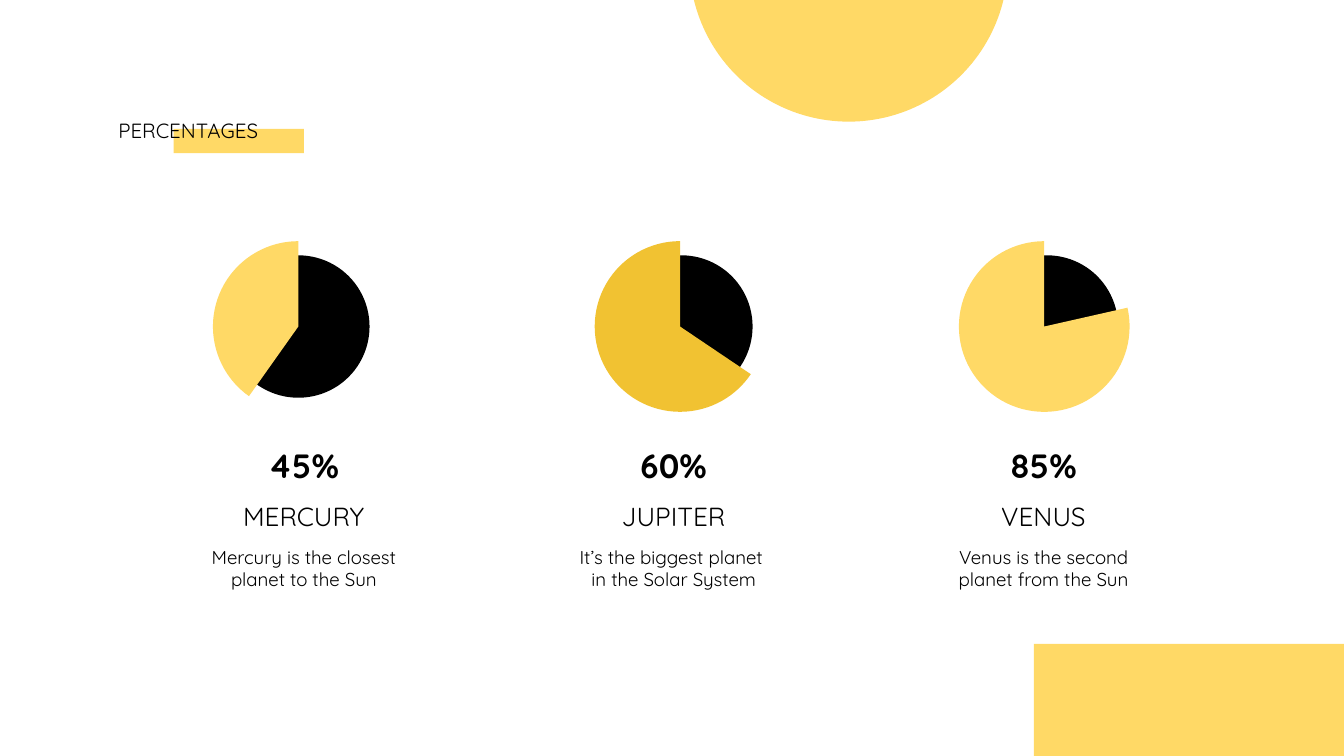
"""Build the planet percentages slide on a grid of 100 columns, with square cells."""
import pptx
import pptx.dml.color
import pptx.enum.shapes
import pptx.enum.text
import pptx.util

THEME = {
    "font": "Quicksand",
    "black": "000000",
    "yellow": "FFD966",
    "gold": "F1C232",
    "title": 11,
    "percent": 18,
    "name": 14,
    "text": 10,
}
SHAPES = pptx.enum.shapes.MSO_SHAPE
ALIGN = pptx.enum.text.PP_ALIGN
ANCHOR = pptx.enum.text.MSO_ANCHOR

presentation = pptx.Presentation()
presentation.slide_width = pptx.util.Inches(10)
presentation.slide_height = presentation.slide_width * 9 // 16
slide = presentation.slides.add_slide(presentation.slide_layouts[5])
cell = presentation.slide_width / 100


def add_figure(kind, left, top, width, height, color):
    """Add a plain filled shape placed in grid cells."""
    bounds = [round(value * cell) for value in (left, top, width, height)]
    shape = slide.shapes.add_shape(kind, *bounds)
    shape.shadow.inherit = False
    shape.fill.solid()
    shape.fill.fore_color.rgb = pptx.dml.color.RGBColor.from_string(THEME[color])
    shape.line.fill.background()
    return shape


def write_text(shape, bounds, lines, size, anchor, align, bold=False):
    """Place a text shape in grid cells and write its lines run by run."""
    shape.left, shape.top, shape.width, shape.height = [round(value * cell) for value in bounds]
    frame = shape.text_frame
    frame.word_wrap = True
    frame.auto_size = pptx.enum.text.MSO_AUTO_SIZE.NONE
    frame.vertical_anchor = anchor
    frame.margin_left = frame.margin_right = round(cell)
    frame.margin_top = frame.margin_bottom = round(cell)
    for index, line in enumerate(lines):
        paragraph = frame.add_paragraph() if index else frame.paragraphs[0]
        paragraph.alignment = align
        run = paragraph.add_run()
        run.text = line
        run.font.name = THEME["font"]
        run.font.size = pptx.util.Pt(THEME[size])
        run.font.bold = bold
        run.font.color.rgb = pptx.dml.color.RGBColor.from_string(THEME["black"])


add_figure(SHAPES.RECTANGLE, 76.92, 47.92, 23.08, 8.33, "yellow")
add_figure(SHAPES.OVAL, 51.3, -14.65, 23.7, 23.7, "yellow")
add_figure(SHAPES.RECTANGLE, 12.92, 9.6, 9.7, 1.8, "yellow")

title = slide.shapes.title
slide.shapes.element.append(title.element)
write_text(title, (7.8, 7.8, 84.7, 3.8), ["PERCENTAGES"], "title", ANCHOR.BOTTOM, ALIGN.LEFT)

planets = [
    ("45%", "MERCURY", ["Mercury is the closest planet to the Sun"], 22.2, 22.2, 125.3, "yellow"),
    ("60%", "JUPITER", ["It’s the biggest planet ", "in the Solar System"], 50.7, 50.6, 34, "gold"),
    ("85%", "VENUS", ["Venus is the second planet from the Sun"], 77.9, 77.7, 347.25, "yellow"),
]
first_column, column_step, column_width = 14.2, 27.52, 16.8
disc_size, pie_size, chart_middle = 10.6, 12.7, 24.3

for index, (percent, name, lines, disc_center, pie_center, angle, color) in enumerate(planets):
    left = first_column + index * column_step
    for content, size, top, height, anchor in (
        ([percent], "percent", 33.2, 3.9, ANCHOR.BOTTOM),
        (lines, "text", 39.6, 5.9, ANCHOR.TOP),
        ([name], "name", 36.25, 4.7, ANCHOR.TOP),
    ):
        write_text(slide.shapes.add_textbox(0, 0, 0, 0), (left, top, column_width, height),
                   content, size, anchor, ALIGN.CENTER, size == "percent")

    add_figure(SHAPES.OVAL, disc_center - disc_size / 2, chart_middle - disc_size / 2,
               disc_size, disc_size, "black")
    pie = add_figure(SHAPES.PIE, pie_center - pie_size / 2, chart_middle - pie_size / 2,
                     pie_size, pie_size, color)
    pie.adjustments[0] = angle * 0.6
    pie.adjustments[1] = 270 * 0.6

presentation.save("out.pptx")
